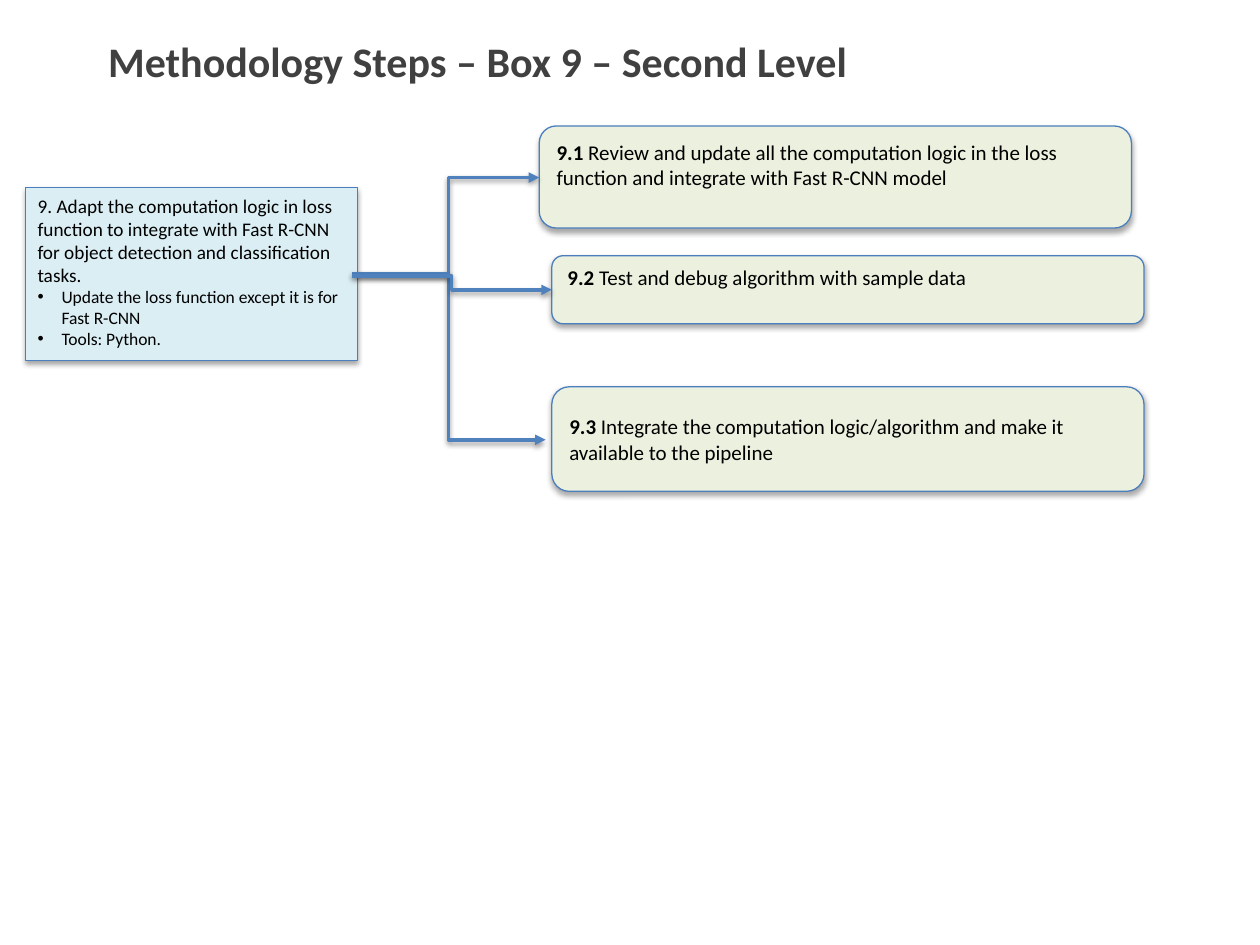
from dataclasses import dataclass

from lxml import etree
from pptx import Presentation
from pptx.dml.color import RGBColor
from pptx.enum.shapes import MSO_CONNECTOR, MSO_SHAPE
from pptx.enum.text import MSO_ANCHOR, PP_ALIGN
from pptx.oxml.ns import qn
from pptx.util import Inches, Pt


@dataclass(frozen=True)
class Theme:
    font: str = "Calibri"
    title: str = "404040"
    text: str = "000000"
    summary_fill: str = "DBEEF4"
    step_fill: str = "EBF1DE"
    outline: str = "4B7EBC"
    arrow: str = "4F81BD"
    title_size: int = 24
    step_size: int = 12
    summary_size: int = 11
    bullet_size: int = 10
    outline_width: float = 0.75
    arrow_width: float = 2


THEME = Theme()
TITLE = "Methodology Steps – Box 9 – Second Level"
SUMMARY = ("9. Adapt the computation logic in loss function to integrate with "
           "Fast R-CNN for object detection and classification tasks.")
SUMMARY_BULLETS = ("Update the loss function except it is for Fast R-CNN", "Tools: Python.")
STEP_WIDTH = 4.7
# number, text, (left, top, height), room kept below the text, arrow start, arrow end
STEPS = (
    ("9.1 ", "Review and update all the computation logic in the loss function "
     "and integrate with Fast R-CNN model",
     (4.28, 1, 0.81), 0.2, (2.84, 2.17), (4.28, 1.41)),
    ("9.3 ", "Integrate the computation logic/algorithm and make it available to the pipeline",
     (4.38, 3.07, 0.83), 0, (2.79, 2.17), (4.33, 3.49)),
    ("9.2 ", "Test and debug algorithm with sample data",
     (4.38, 2.03, 0.54), 0.2, (2.79, 2.19), (4.38, 2.3)),
)


def style_font(font, size, color=THEME.text, bold=False):
    font.name = THEME.font
    font.size = Pt(size)
    font.bold = bold
    font.color.rgb = RGBColor.from_string(color)


def add_shadow(effects, opacity, distance):
    """Fill an effect list with a soft shadow that falls straight down."""
    shadow = etree.SubElement(effects, qn("a:outerShdw"), blurRad=str(Pt(3.1)),
                              dist=str(Pt(distance)), dir="5400000", rotWithShape="0")
    color = etree.SubElement(shadow, qn("a:srgbClr"), val="000000")
    etree.SubElement(color, qn("a:alpha"), val=str(opacity * 1000))


def add_card(slide, preset, box, fill, anchor):
    card = slide.shapes.add_shape(preset, *map(Inches, box))
    card.fill.solid()
    card.fill.fore_color.rgb = RGBColor.from_string(fill)
    card.line.color.rgb = RGBColor.from_string(THEME.outline)
    card.line.width = Pt(THEME.outline_width)
    card.shadow.inherit = False
    add_shadow(card._element.spPr.find(qn("a:effectLst")), 35, 1.8)
    card.text_frame.word_wrap = True
    card.text_frame.vertical_anchor = anchor
    return card.text_frame


def add_title(slide, box):
    frame = slide.shapes.add_textbox(*map(Inches, box)).text_frame
    frame.word_wrap = True
    frame.text = TITLE
    style_font(frame.paragraphs[0].runs[0].font, THEME.title_size, THEME.title, True)


def add_summary(slide, box):
    frame = add_card(slide, MSO_SHAPE.RECTANGLE, box, THEME.summary_fill, MSO_ANCHOR.TOP)
    frame.text = "\n".join((SUMMARY, *SUMMARY_BULLETS))
    heading, *bullets = frame.paragraphs
    heading.alignment = PP_ALIGN.LEFT
    style_font(heading.runs[0].font, THEME.summary_size)
    indent = Inches(0.19)
    for bullet in bullets:
        bullet.alignment = PP_ALIGN.LEFT
        properties = bullet._p.get_or_add_pPr()
        properties.set("marL", str(indent))
        properties.set("indent", str(-indent))
        etree.SubElement(properties, qn("a:buFont"), typeface="Arial")
        etree.SubElement(properties, qn("a:buChar"), char="•")
        style_font(bullet.runs[0].font, THEME.bullet_size)


def add_step(slide, box, number, text, room_below):
    frame = add_card(slide, MSO_SHAPE.ROUNDED_RECTANGLE, box, THEME.step_fill, MSO_ANCHOR.MIDDLE)
    frame.margin_bottom = Inches(0.05 + room_below)
    paragraph = frame.paragraphs[0]
    paragraph.alignment = PP_ALIGN.LEFT
    for part, bold in ((number, True), (text, False)):
        run = paragraph.add_run()
        run.text = part
        style_font(run.font, THEME.step_size, bold=bold)


def add_arrow(slide, start, end):
    arrow = slide.shapes.add_connector(MSO_CONNECTOR.ELBOW, *map(Inches, (*start, *end)))
    arrow.line.color.rgb = RGBColor.from_string(THEME.arrow)
    arrow.line.width = Pt(THEME.arrow_width)
    etree.SubElement(arrow.line._get_or_add_ln(), qn("a:tailEnd"), type="triangle")
    add_shadow(etree.SubElement(arrow._element.spPr, qn("a:effectLst")), 38, 1.6)


def main():
    deck = Presentation()
    deck.slide_width, deck.slide_height = Inches(10), Inches(7.5)
    slide = deck.slides.add_slide(deck.slide_layouts[6])
    add_title(slide, (0.76, 0.23, 8.48, 0.81))
    add_summary(slide, (0.2, 1.49, 2.64, 1.37))
    for number, text, (left, top, height), room_below, start, end in STEPS:
        add_step(slide, (left, top, STEP_WIDTH, height), number, text, room_below)
        add_arrow(slide, start, end)
    deck.save("out.pptx")


if __name__ == "__main__":
    main()
